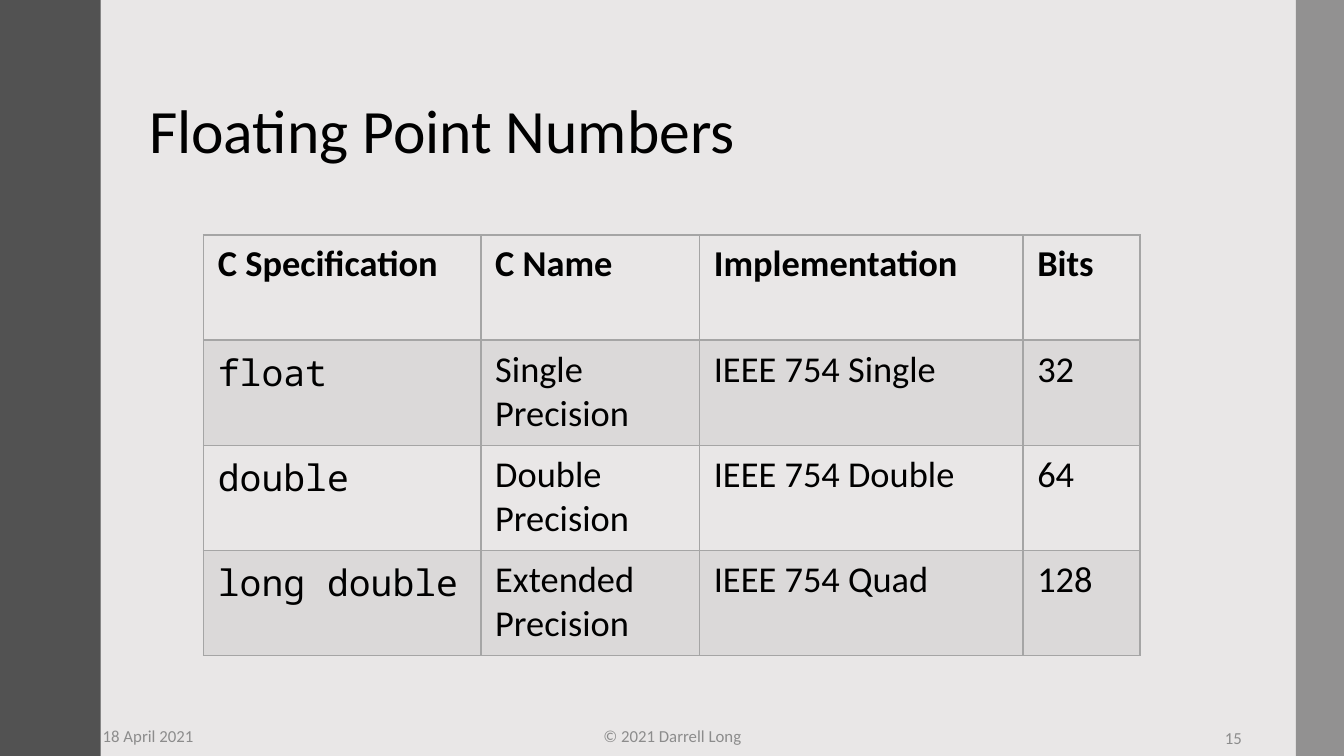
from dataclasses import dataclass

from lxml.etree import SubElement
from pptx import Presentation
from pptx.dml.color import RGBColor
from pptx.enum.shapes import MSO_SHAPE
from pptx.enum.text import MSO_ANCHOR, PP_ALIGN
from pptx.oxml.ns import qn
from pptx.slide import Slide
from pptx.table import _Cell
from pptx.util import Cm, Pt


@dataclass(frozen=True)
class Theme:
    background: str = "E9E7E7"
    left_band: str = "525252"
    right_band: str = "595959"
    grid: str = "A5A5A5"
    ink: str = "000000"
    muted: str = "8C8C8C"
    body_font: str = "Calibri"
    code_font: str = "Noto Sans Mono"
    title_size: float = 44
    table_size: float = 26
    footer_size: float = 12


@dataclass(frozen=True)
class Band:
    left: float
    width: float
    color: str
    opacity: int


@dataclass(frozen=True)
class Label:
    text: str
    left: float
    top: float
    width: float
    height: float
    size: float
    color: str
    align: PP_ALIGN = PP_ALIGN.LEFT
    line_spacing: float = 1.0


THEME = Theme()
PAGE_WIDTH, PAGE_HEIGHT = 33.87, 19.05
BANDS = [
    Band(0, 2.54, THEME.left_band, 100),
    Band(32.66, 1.21, THEME.right_band, 60),
]
TITLE = Label("Floating Point Numbers", 3.51, 1.52, 27.38, 3.68,
              THEME.title_size, THEME.ink, line_spacing=0.9)
FOOTERS = [
    Label("© 2021 Darrell Long", 11.23, 18.03, 11.43, 1.02,
          THEME.footer_size, THEME.muted, PP_ALIGN.CENTER),
    Label("15", 23.93, 18.08, 7.62, 1.02,
          THEME.footer_size, THEME.muted, PP_ALIGN.RIGHT),
    Label("18 April 2021", 2.34, 18.03, 7.62, 1.02,
          THEME.footer_size, THEME.muted),
]
COLUMN_WIDTHS = [6.99, 5.51, 8.15, 2.95]
ROW_HEIGHT = 2.65
FORMATS = [
    ("C Specification", "C Name", "Implementation", "Bits"),
    ("float", "Single Precision", "IEEE 754 Single", "32"),
    ("double", "Double Precision", "IEEE 754 Double", "64"),
    ("long double", "Extended Precision", "IEEE 754 Quad", "128"),
]


def paint(fill, properties, color: str, opacity: int = 100) -> None:
    """Fill a shape or cell with a colour at the given opacity in percent."""
    fill.solid()
    fill.fore_color.rgb = RGBColor.from_string(color)
    if opacity < 100:
        tint = properties.find(f"{qn('a:solidFill')}/{qn('a:srgbClr')}")
        SubElement(tint, qn("a:alpha"), val=str(opacity * 1000))


def style_text(para, font_name: str, size: float, color: str, bold: bool = False) -> None:
    """Format every run of a paragraph."""
    for span in para.runs:
        span.font.name = font_name
        span.font.size = Pt(size)
        span.font.bold = bold
        span.font.color.rgb = RGBColor.from_string(color)


def add_band(page: Slide, band: Band) -> None:
    """Draw a full-height side band."""
    shape = page.shapes.add_shape(
        MSO_SHAPE.RECTANGLE, Cm(band.left), 0, Cm(band.width), Cm(PAGE_HEIGHT))
    shape.shadow.inherit = False
    shape.line.fill.background()
    paint(shape.fill, shape.element.spPr, band.color, band.opacity)


def add_label(page: Slide, label: Label) -> None:
    """Draw a vertically centred line of text."""
    box = page.shapes.add_textbox(
        Cm(label.left), Cm(label.top), Cm(label.width), Cm(label.height))
    frame = box.text_frame
    frame.word_wrap = True
    frame.vertical_anchor = MSO_ANCHOR.MIDDLE
    frame.text = label.text
    para = frame.paragraphs[0]
    para.alignment = label.align
    para.line_spacing = label.line_spacing
    style_text(para, THEME.body_font, label.size, label.color)


def add_borders(cell: _Cell, widths: dict[str, float]) -> None:
    """Draw the cell borders with the given point widths."""
    properties = cell._tc.get_or_add_tcPr()
    for side in ("L", "R", "T", "B"):
        line = SubElement(properties, qn(f"a:ln{side}"), w=str(Pt(widths[side])))
        fill = SubElement(line, qn("a:solidFill"))
        SubElement(fill, qn("a:srgbClr"), val=THEME.grid)


def fill_cell(cell: _Cell, text: str, row: int, column: int) -> None:
    """Write and style one table cell."""
    cell.margin_left = cell.margin_right = Cm(0.36)
    cell.margin_top = cell.margin_bottom = Cm(0.18)
    cell.text_frame.text = text
    is_code = row > 0 and column == 0
    style_text(cell.text_frame.paragraphs[0],
               THEME.code_font if is_code else THEME.body_font,
               THEME.table_size, THEME.ink, bold=row == 0)
    add_borders(cell, {"L": 1, "R": 1, "T": 2 if row == 1 else 1, "B": 2 if row == 0 else 1})
    if row % 2:
        paint(cell.fill, cell._tc.tcPr, THEME.grid, 20)
    else:
        cell.fill.background()


def add_format_table(page: Slide) -> None:
    """Draw the table of floating point formats."""
    table = page.shapes.add_table(
        len(FORMATS), len(COLUMN_WIDTHS), Cm(5.13), Cm(5.92),
        Cm(sum(COLUMN_WIDTHS)), Cm(ROW_HEIGHT * len(FORMATS))).table
    table.horz_banding = False
    for column, width in zip(table.columns, COLUMN_WIDTHS):
        column.width = Cm(width)
    for row, texts in enumerate(FORMATS):
        table.rows[row].height = Cm(ROW_HEIGHT)
        for column, text in enumerate(texts):
            fill_cell(table.cell(row, column), text, row, column)


def main() -> None:
    """Build and save the slide."""
    deck = Presentation()
    deck.slide_width, deck.slide_height = Cm(PAGE_WIDTH), Cm(PAGE_HEIGHT)
    page = deck.slides.add_slide(deck.slide_layouts[6])
    paint(page.background.fill, None, THEME.background)
    add_label(page, TITLE)
    for band in BANDS:
        add_band(page, band)
    add_format_table(page)
    for footer in FOOTERS:
        add_label(page, footer)
    deck.save("out.pptx")


if __name__ == "__main__":
    main()
